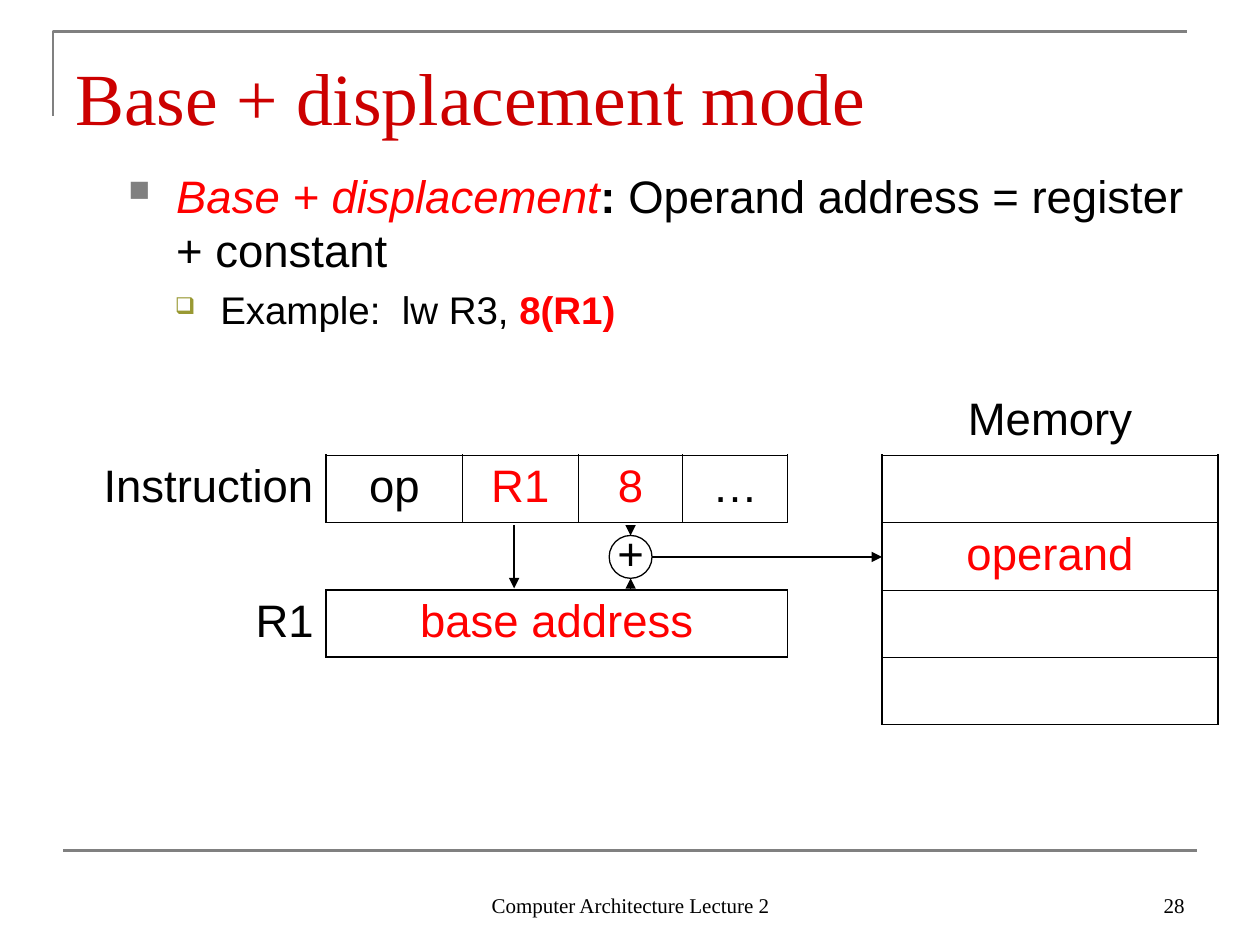
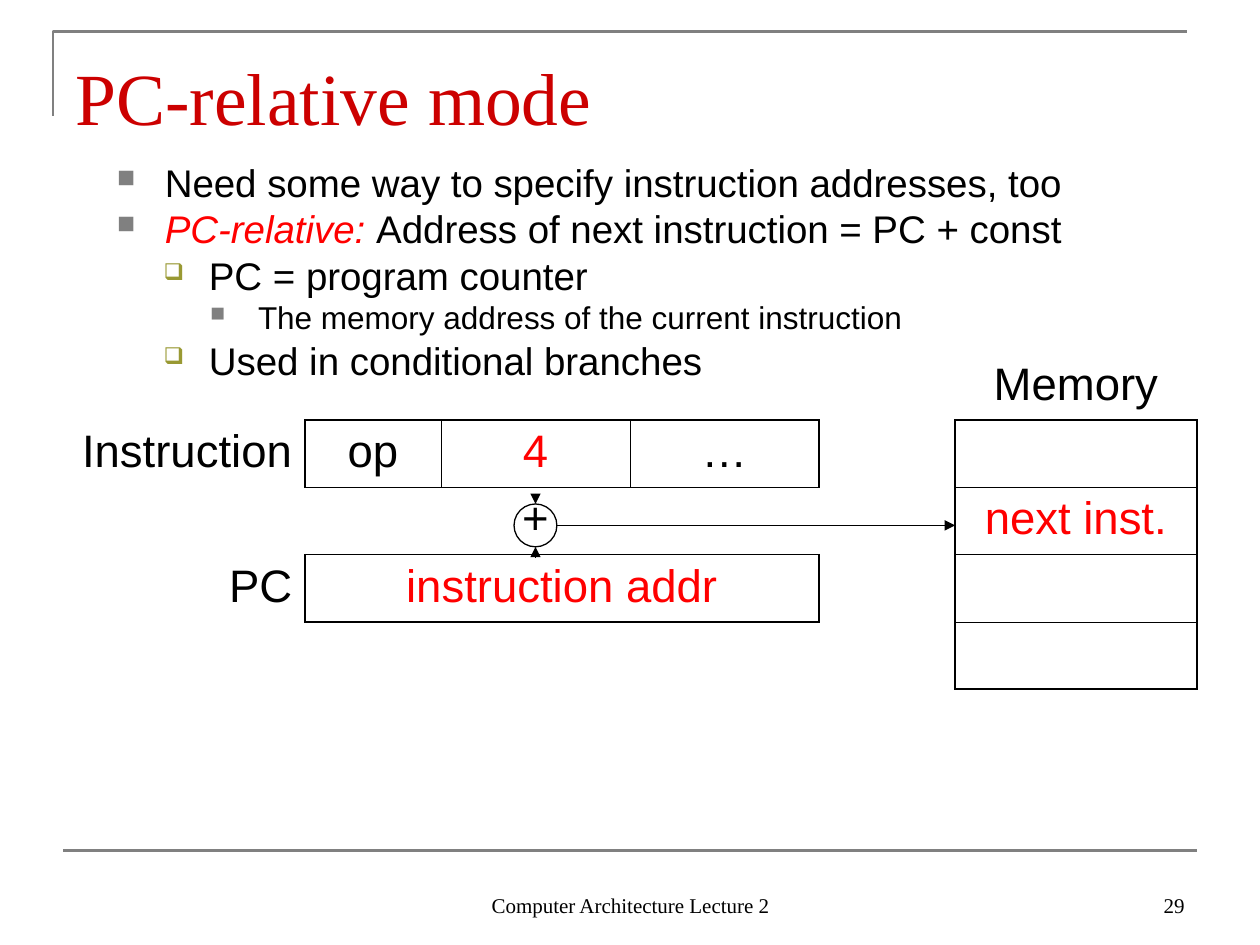
import itertools
from dataclasses import dataclass

import pptx
import pptx.dml.color
import pptx.enum.shapes
import pptx.enum.text
import pptx.oxml
import pptx.oxml.ns
import pptx.util

Inches = pptx.util.Inches
Pt = pptx.util.Pt
ALIGN = pptx.enum.text.PP_ALIGN
ANCHOR = pptx.enum.text.MSO_ANCHOR
qn = pptx.oxml.ns.qn


@dataclass(frozen=True)
class Theme:
    ink: str = "000000"
    accent: str = "FF0000"
    title: str = "CC0000"
    rule: str = "808080"
    olive: str = "999933"
    serif: str = "Times New Roman"
    sans: str = "Arial"
    title_size: float = 42
    cell_size: float = 26
    footer_size: float = 12
    rule_width: float = 1.5
    arrow_width: float = 0.75
    heavy: float = 1.08
    thin: float = 0.45


T = Theme()

# Per level: left margin, hanging indent, bullet, bullet colour, bullet size (%)
LEVELS = [
    (0.38, 0.38, "■", T.rule, 65),
    (0.73, 0.36, "❑", T.olive, 60),
    (1.12, 0.38, "■", T.rule, 65),
]
OPPOSITE = {"L": "R", "R": "L", "T": "B", "B": "T"}
STEP = {"L": (0, -1), "R": (0, 1), "T": (-1, 0), "B": (1, 0)}


def rgb(color):
    return pptx.dml.color.RGBColor.from_string(color)


def add_child(parent, tag, **attrs):
    child = parent.makeelement(qn(tag), attrs)
    parent.append(child)
    return child


def style_run(r, size, color, font, bold=False, italic=False):
    r.font.size = Pt(size)
    r.font.name = font
    r.font.color.rgb = rgb(color)
    r.font.bold = bold
    r.font.italic = italic


def add_text(slide, box, text="", size=12, color=T.ink, font=T.serif,
             align=ALIGN.LEFT, anchor=ANCHOR.TOP, top_inset=0.05):
    sp = slide.shapes.add_textbox(*map(Inches, box))
    tf = sp.text_frame
    tf.word_wrap = True
    tf.vertical_anchor = anchor
    tf.margin_top = Inches(top_inset)
    if text:
        p = tf.paragraphs[0]
        p.text = text
        p.alignment = align
        style_run(p.runs[0], size, color, font)
    return tf


def add_line(slide, x1, y1, x2, y2, color=T.ink, width=T.arrow_width, arrow=True):
    cxn = slide.shapes.add_connector(
        pptx.enum.shapes.MSO_CONNECTOR.STRAIGHT, *map(Inches, (x1, y1, x2, y2)))
    cxn.line.color.rgb = rgb(color)
    cxn.line.width = Pt(width)
    if arrow:
        add_child(cxn.line._get_or_add_ln(), "a:tailEnd", type="triangle")
    add_child(cxn._element.spPr, "a:effectLst")


def add_frame(slide, title, number):
    """Corner rule, bottom rule, title and footer."""
    corner = slide.shapes.build_freeform(Inches(0.42), Inches(0.92))
    corner.add_line_segments(
        [(Inches(0.42), Inches(0.25)), (Inches(9.42), Inches(0.25))], close=False)
    sp = corner.convert_to_shape()
    sp.shadow.inherit = False
    sp.fill.background()
    sp.line.color.rgb = rgb(T.rule)
    sp.line.width = Pt(T.rule_width)
    add_line(slide, 0.5, 6.75, 9.5, 6.75, T.rule, T.rule_width, arrow=False)
    add_text(slide, (0.5, 0.3, 9, 0.78), title, T.title_size, T.title, top_inset=0.11)
    add_text(slide, (3.42, 6.83, 3.17, 0.5), "Computer Architecture Lecture 2",
             T.footer_size, align=ALIGN.CENTER, anchor=ANCHOR.BOTTOM)
    add_text(slide, (7.17, 6.83, 2.33, 0.5), str(number),
             T.footer_size, align=ALIGN.RIGHT, anchor=ANCHOR.BOTTOM)


def add_bullets(slide, box, items, spacing=1.0):
    """Each item is (level, size, runs); each run is (text, colour, emphasis)."""
    tf = add_text(slide, box, top_inset=0.08)
    tf.margin_right = Inches(0.05)
    for i, (level, size, runs) in enumerate(items):
        p = tf.add_paragraph() if i else tf.paragraphs[0]
        left, hang, char, color, percent = LEVELS[level]
        p.level = level
        pPr = p._p.get_or_add_pPr()
        pPr.set("marL", str(Inches(left)))
        pPr.set("indent", str(-Inches(hang)))
        add_child(add_child(pPr, "a:buClr"), "a:srgbClr", val=color)
        add_child(pPr, "a:buSzPct", val=str(percent * 1000))
        add_child(pPr, "a:buChar", char=char)
        p.line_spacing = spacing
        p.space_before = Pt(size / 4 if i else 0)
        for text, run_color, emphasis in runs:
            r = p.add_run()
            r.text = text
            style_run(r, size, run_color, T.sans,
                      bold=emphasis == "bold", italic=emphasis == "italic")


def set_edge(cell, side, width):
    ln = cell._tc.tcPr.find(qn("a:ln" + side))
    for child in list(ln):
        ln.remove(child)
    ln.set("w", str(Pt(width)))
    add_child(add_child(ln, "a:solidFill"), "a:srgbClr", val=T.ink)


def outline(tbl, top, left, bottom, right, width):
    """Rule the perimeter of a block, on both sides of each shared edge."""
    rows, cols = len(tbl.rows), len(tbl.columns)
    for r, c in itertools.product(range(top, bottom + 1), range(left, right + 1)):
        sides = {"L": c == left, "R": c == right, "T": r == top, "B": r == bottom}
        for side in (s for s, on_edge in sides.items() if on_edge):
            set_edge(tbl.cell(r, c), side, width)
            r2, c2 = r + STEP[side][0], c + STEP[side][1]
            if 0 <= r2 < rows and 0 <= c2 < cols:
                set_edge(tbl.cell(r2, c2), OPPOSITE[side], width)
    first = tbl.cell(top, left)
    if first.is_merge_origin:
        if first.span_width == right - left + 1:
            set_edge(first, "R", width)


def clear_cell(cell):
    tcPr = cell._tc.get_or_add_tcPr()
    for side in "LRTB":
        add_child(add_child(tcPr, "a:ln" + side), "a:noFill")
    cell.fill.background()


def add_cell_text(tbl, row, first, last, text, color=T.ink, align=ALIGN.CENTER):
    cell = tbl.cell(row, first)
    if last > first:
        cell.merge(tbl.cell(row, last))
    cell.margin_left = cell.margin_right = Inches(0.1)
    cell.margin_top = cell.margin_bottom = Inches(0.05)
    p = cell.text_frame.paragraphs[0]
    p.text = text
    p.alignment = align
    style_run(p.runs[0], T.cell_size, color, T.sans)


def add_diagram(slide, box, widths, fields, register, target, adder_field,
                adder_y, register_arrow_x=None):
    """Instruction fields, register and memory, joined through an adder.

    Fields are (first column, last column, text, colour); register is (name, content).
    """
    x, y, w, h = box
    rows, memory = 5, len(widths) - 1
    frame = slide.shapes.add_table(rows, len(widths), *map(Inches, box))
    tbl = frame.table
    tbl.first_row = tbl.horz_banding = False
    for column, width in zip(tbl.columns, widths):
        column.width = Inches(width)
    for row in tbl.rows:
        row.height = Inches(h / rows)
    for cell in tbl.iter_cells():
        clear_cell(cell)

    # Labels and contents
    last_field = fields[-1][1]
    a, b = fields[adder_field][:2]
    add_cell_text(tbl, 0, memory, memory, "Memory")
    add_cell_text(tbl, 1, 0, 0, "Instruction", align=ALIGN.RIGHT)
    for first, last, text, color in fields:
        add_cell_text(tbl, 1, first, last, text, color)
    add_cell_text(tbl, 2, a, b, "+")
    add_cell_text(tbl, 2, memory, memory, target, T.accent)
    add_cell_text(tbl, 3, 0, 0, register[0], align=ALIGN.RIGHT)
    add_cell_text(tbl, 3, 1, last_field, register[1], T.accent)

    # Thin dividers first, heavy outlines over them
    for first, last, _, _ in fields:
        outline(tbl, 1, first, 1, last, T.thin)
    for r in range(1, rows):
        outline(tbl, r, memory, r, memory, T.thin)
    outline(tbl, 1, 1, 1, last_field, T.heavy)
    outline(tbl, 3, 1, 3, last_field, T.heavy)
    outline(tbl, 1, memory, rows - 1, memory, T.heavy)

    # Adder and arrows
    radius, reach = 0.17, 0.25
    cx = x + sum(widths[:a]) + sum(widths[a:b + 1]) / 2
    cy = y + adder_y
    if register_arrow_x is not None:
        rx = x + register_arrow_x
        add_line(slide, rx, cy - reach, rx, cy + reach)
    sp = slide.shapes.add_shape(
        pptx.enum.shapes.MSO_SHAPE.OVAL,
        *map(Inches, (cx - radius, cy - radius, 2 * radius, 2 * radius)))
    sp.shadow.inherit = False
    sp.fill.background()
    sp.line.color.rgb = rgb(T.ink)
    sp.line.width = Pt(T.arrow_width)
    for sign in (-1, 1):
        add_line(slide, cx, cy + sign * reach, cx, cy + sign * radius)
    add_line(slide, cx + radius, cy, x + sum(widths[:memory]), cy)


def base_displacement_slide(slide):
    add_frame(slide, "Base + displacement mode", 28)
    add_bullets(slide, (0.92, 1.25, 8.58, 2.15), [
        (0, 26, [("Base + displacement", T.accent, "italic"), (": ", T.ink, "bold"),
                 ("Operand address = register + constant", T.ink, None)]),
        (1, 22, [("Example:  lw R3, ", T.ink, None), ("8(R1)", T.accent, "bold")]),
    ])
    add_diagram(
        slide, (0.67, 3.08, 9, 2.67), [1.92, 1.08, 0.92, 0.58, 0.25, 0.83, 0.75, 2.67],
        fields=[(1, 1, "op", T.ink), (2, 2, "R1", T.accent),
                (3, 4, "8", T.accent), (5, 5, "…", T.ink)],
        register=("R1", "base address"), target="operand",
        adder_field=2, adder_y=1.34, register_arrow_x=3.41)


def pc_relative_slide(slide):
    add_frame(slide, "PC-relative mode", 29)
    add_bullets(slide, (0.83, 1.25, 8.67, 1.92), [
        (0, 22, [("Need some way to specify instruction addresses, too", T.ink, None)]),
        (0, 22, [("PC-relative: ", T.accent, "italic"),
                 ("Address of next instruction = PC + const", T.ink, None)]),
        (1, 22, [("PC = program counter", T.ink, None)]),
        (2, 18, [("The memory address of the current instruction", T.ink, None)]),
        (1, 22, [("Used in conditional branches", T.ink, None)]),
    ], spacing=0.8)
    add_diagram(
        slide, (0.5, 2.8, 9, 2.67), [1.92, 1.08, 1.5, 1.5, 1.08, 1.92],
        fields=[(1, 1, "op", T.ink), (2, 2, "4", T.accent), (3, 3, "…", T.ink)],
        register=("PC", "instruction addr"), target="next inst.",
        adder_field=1, adder_y=1.37)


def main():
    prs = pptx.Presentation()
    prs.slide_width, prs.slide_height = Inches(10), Inches(7.5)
    for build in (base_displacement_slide, pc_relative_slide):
        build(prs.slides.add_slide(prs.slide_layouts[6]))
    prs.save("out.pptx")


if __name__ == "__main__":
    main()
